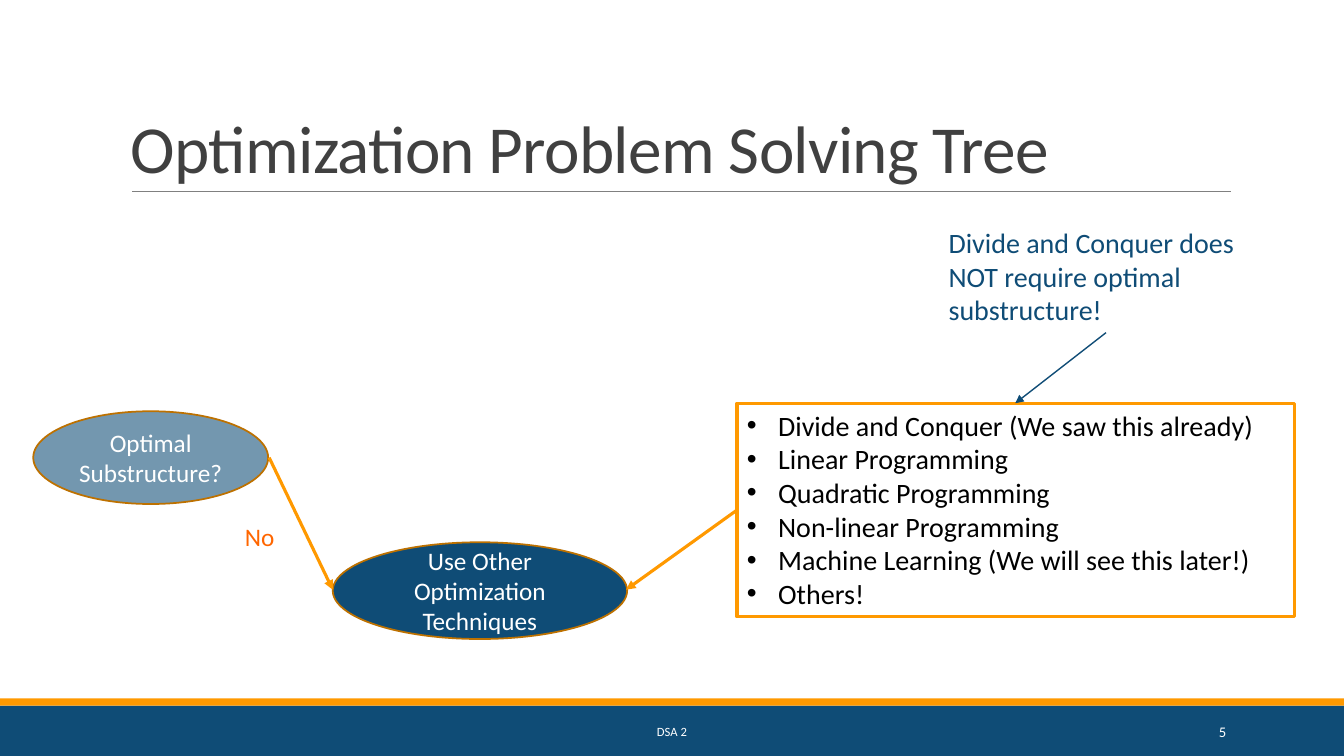
import dataclasses
import typing

import lxml.etree
import pptx
import pptx.dml.color
import pptx.enum.shapes
import pptx.enum.text
import pptx.oxml.ns
import pptx.util

Inches = pptx.util.Inches
Pt = pptx.util.Pt
Kind = pptx.enum.shapes.MSO_SHAPE
Align = pptx.enum.text.PP_ALIGN
Anchor = pptx.enum.text.MSO_ANCHOR
qn = pptx.oxml.ns.qn

WIDE, HIGH = 13.33, 7.5
FONT = "Calibri"
COLORS = {
    "navy": "0F4C76",
    "orange": "FF9900",
    "rust": "BD7100",
    "ember": "FF6600",
    "gray": "808080",
    "dark": "404040",
    "black": "000000",
    "white": "FFFFFF",
}


@dataclasses.dataclass
class Block:
    """A shape or text box; without a kind it is a text box."""
    at: tuple[float, float, float, float]
    lines: tuple[str, ...] = ()
    size: float = 18
    ink: str = "white"
    kind: typing.Any = None
    fill: str | None = None
    alpha: int = 100
    edge: str | None = None
    weight: float = 1.25
    align: typing.Any = Align.LEFT
    anchor: typing.Any = Anchor.TOP
    bullet: bool = False
    lead: float | None = None
    track: int | None = None


@dataclasses.dataclass
class Link:
    start: tuple[float, float]
    end: tuple[float, float]
    color: str
    weight: float
    arrow: bool = True


def tint(name: str) -> pptx.dml.color.RGBColor:
    return pptx.dml.color.RGBColor.from_string(COLORS[name])


def paint(shape: typing.Any, block: Block) -> None:
    """Set the fill, its opacity and the outline."""
    shape.shadow.inherit = False
    if block.fill:
        shape.fill.solid()
        shape.fill.fore_color.rgb = tint(block.fill)
        if block.alpha < 100:
            color = shape.fill._xPr.find(qn("a:solidFill"))[0]
            node = lxml.etree.SubElement(color, qn("a:alpha"))
            node.set("val", str(block.alpha * 1000))
    else:
        shape.fill.background()
    if block.edge:
        shape.line.color.rgb = tint(block.edge)
        shape.line.width = Pt(block.weight)
    else:
        shape.line.fill.background()


def dot(par: typing.Any) -> None:
    """Give a paragraph a bullet with a hanging indent."""
    props = par._p.get_or_add_pPr()
    props.set("marL", str(Inches(0.31)))
    props.set("indent", str(-Inches(0.31)))
    face = lxml.etree.SubElement(props, qn("a:buFont"))
    face.set("typeface", "Arial")
    mark = lxml.etree.SubElement(props, qn("a:buChar"))
    mark.set("char", "•")


def write(shape: typing.Any, block: Block) -> None:
    frame = shape.text_frame
    frame.word_wrap = True
    frame.vertical_anchor = block.anchor
    frame.text = "\n".join(block.lines)
    for par in frame.paragraphs:
        par.alignment = block.align
        if block.lead:
            par.line_spacing = block.lead
        if block.bullet:
            dot(par)
        for run in par.runs:
            run.font.name = FONT
            run.font.size = Pt(block.size)
            run.font.color.rgb = tint(block.ink)
            if block.track is not None:
                run.font._element.set("spc", str(block.track))


def place(slide: typing.Any, block: Block) -> None:
    box = [Inches(n) for n in block.at]
    if block.kind is None:
        shape = slide.shapes.add_textbox(*box)
    else:
        shape = slide.shapes.add_shape(block.kind, *box)
        paint(shape, block)
    if block.lines:
        write(shape, block)


def join(slide: typing.Any, link: Link) -> None:
    ends = [Inches(n) for n in (*link.start, *link.end)]
    line = slide.shapes.add_connector(
        pptx.enum.shapes.MSO_CONNECTOR.STRAIGHT, *ends)
    line.line.color.rgb = tint(link.color)
    line.line.width = Pt(link.weight)
    if link.arrow:
        tip = lxml.etree.SubElement(line.line._get_or_add_ln(), qn("a:tailEnd"))
        tip.set("type", "triangle")
    lxml.etree.SubElement(line._element.spPr, qn("a:effectLst"))


OVAL = dict(kind=Kind.OVAL, fill="navy", edge="rust",
            align=Align.CENTER, anchor=Anchor.MIDDLE)
ITEMS = (
    "Divide and Conquer (We saw this already)",
    "Linear Programming",
    "Quadratic Programming",
    "Non-linear Programming",
    "Machine Learning (We will see this later!)",
    "Others!",
)
PARTS = [
    Block((0, 7, WIDE, 0.5), kind=Kind.RECTANGLE, fill="navy"),
    Block((0, 6.93, WIDE, 0.07), kind=Kind.RECTANGLE, fill="orange"),
    Link((1.31, 1.9), (12.21, 1.9), "gray", 0.5, arrow=False),
    Block((1.2, 0.31, 11, 1.6), ("Optimization Problem Solving Tree",), 48,
          "dark", anchor=Anchor.BOTTOM, lead=0.85, track=-50),
    Block((0.33, 4.08, 2.33, 0.92), ("Optimal Substructure?",),
          alpha=58, **OVAL),
    Block((3.3, 5.38, 2.92, 0.96), ("Use Other Optimization Techniques",),
          **OVAL),
    Link((2.67, 4.54), (3.3, 5.85), "orange", 2.25),
    Block((2.33, 5.12, 0.67, 0.4), ("No",), ink="ember"),
    Block((7.31, 4, 5.53, 2.12), ITEMS, 20, "black", kind=Kind.RECTANGLE,
          edge="orange", weight=2.25, bullet=True),
    Link((7.31, 5.06), (6.21, 5.85), "orange", 2.25),
    Block((4.03, 7.06, 5.27, 0.4), ("DSA 2",), 9,
          align=Align.CENTER, anchor=Anchor.MIDDLE),
    Block((10.83, 7.06, 1.43, 0.4), ("5",), 10.5,
          align=Align.RIGHT, anchor=Anchor.MIDDLE),
    Block((9.31, 2.19, 3.33, 1.11),
          ("Divide and Conquer does NOT require optimal substructure!",),
          20, "navy"),
    Link((10.97, 3.3), (10.07, 4), "navy", 1),
]


def main() -> None:
    deck = pptx.Presentation()
    deck.slide_width, deck.slide_height = Inches(WIDE), Inches(HIGH)
    slide = deck.slides.add_slide(deck.slide_layouts[6])
    for part in PARTS:
        if isinstance(part, Link):
            join(slide, part)
        else:
            place(slide, part)
    deck.save("out.pptx")


if __name__ == "__main__":
    main()
